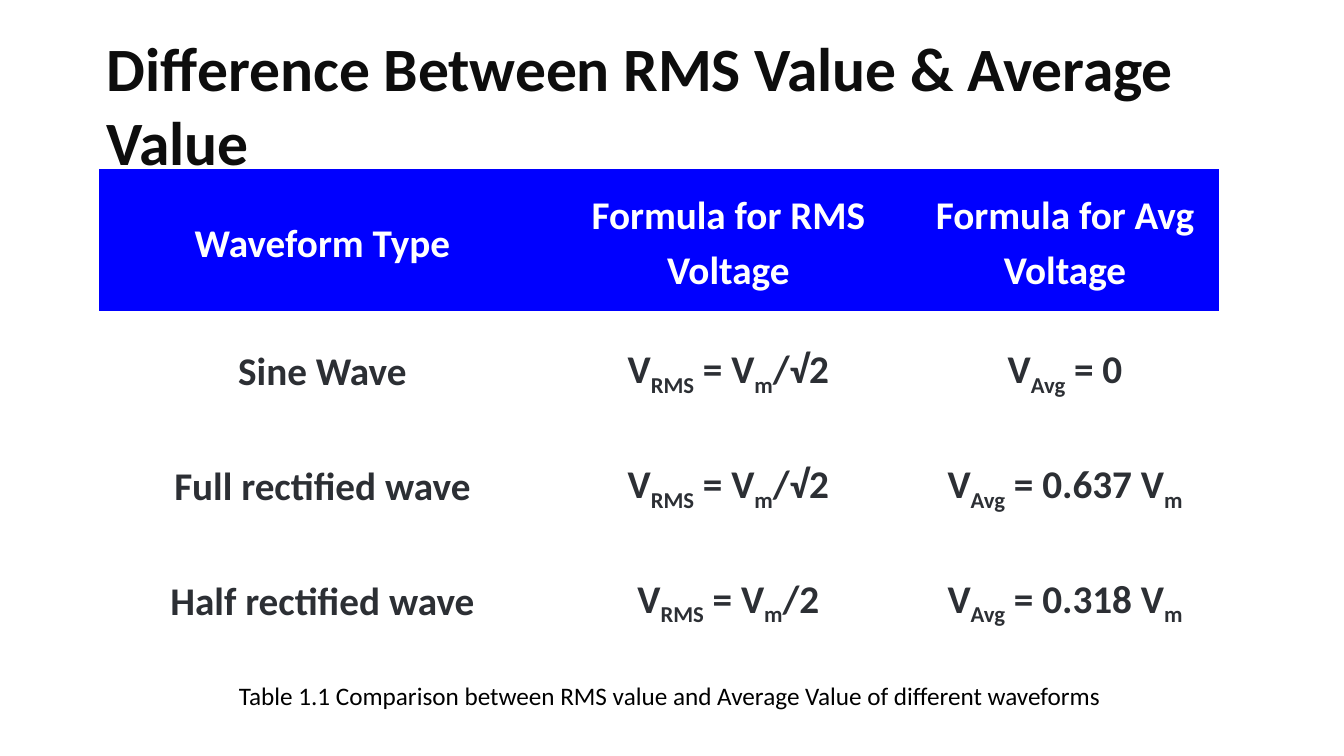
import pptx
import pptx.dml.color
import pptx.enum.text
import pptx.oxml.ns
import pptx.util

Pt = pptx.util.Pt
PP_ALIGN = pptx.enum.text.PP_ALIGN
MSO_ANCHOR = pptx.enum.text.MSO_ANCHOR
MSO_AUTO_SIZE = pptx.enum.text.MSO_AUTO_SIZE
NO_GRID_STYLE = "{2D5ABB26-0587-4C30-8999-92F81FD0307C}"


def rgb(value):
    return pptx.dml.color.RGBColor.from_string(value)


class WaveformSlide:
    """Builds the waveform comparison slide in one consistent style."""

    font = "Calibri"
    title_color = "0D0D0D"
    header_fill = "0000FF"
    header_color = "FFFFFF"
    body_fill = "FFFFFF"
    body_color = "2C2F34"
    caption_color = "000000"

    def __init__(self, prs):
        self.slide = prs.slides.add_slide(prs.slide_layouts[5])

    def format_run(self, r, size, color, bold=False):
        r.font.name = self.font
        r.font.size = Pt(size)
        r.font.bold = bold
        r.font.color.rgb = rgb(color)

    def title(self, text, left, top, width, height):
        sp = self.slide.shapes.title
        sp.left, sp.top, sp.width, sp.height = Pt(left), Pt(top), Pt(width), Pt(height)
        tf = sp.text_frame
        tf.text = text
        tf.word_wrap = True
        tf.auto_size = MSO_AUTO_SIZE.SHAPE_TO_FIT_TEXT
        tf.vertical_anchor = MSO_ANCHOR.TOP
        tf.margin_right = Pt(36)
        p = tf.paragraphs[0]
        p.alignment = PP_ALIGN.LEFT
        p.line_spacing = 1.0
        r = p.runs[0]
        self.format_run(r, 44, self.title_color, True)
        r.font._element.set("spc", "-10")

    def cell(self, cell, text, fill, color):
        cell.fill.solid()
        cell.fill.fore_color.rgb = rgb(fill)
        cell.vertical_anchor = MSO_ANCHOR.MIDDLE
        cell.margin_left = cell.margin_right = Pt(5)
        cell.margin_top = cell.margin_bottom = Pt(5)
        p = cell.text_frame.paragraphs[0]
        p.alignment = PP_ALIGN.CENTER
        p.line_spacing = 1.15
        for i, part in enumerate(text.split("_")):
            if part:
                r = p.add_run()
                r.text = part
                self.format_run(r, 28, color, True)
                if i % 2:
                    r.font._element.set("baseline", "-25000")

    def table(self, rows, left, top, widths, heights):
        frame = self.slide.shapes.add_table(
            len(rows), len(widths), Pt(left), Pt(top), Pt(sum(widths)), Pt(sum(heights)))
        table = frame.table
        table.first_row = table.horz_banding = False
        table._tbl.tblPr.find(pptx.oxml.ns.qn("a:tableStyleId")).text = NO_GRID_STYLE
        for column, width in zip(table.columns, widths):
            column.width = Pt(width)
        for i, (row, height) in enumerate(zip(rows, heights)):
            table.rows[i].height = Pt(height)
            fill = self.body_fill if i else self.header_fill
            color = self.body_color if i else self.header_color
            for j, text in enumerate(row):
                self.cell(table.cell(i, j), text, fill, color)

    def caption(self, text, left, top, width, height):
        sp = self.slide.shapes.add_textbox(Pt(left), Pt(top), Pt(width), Pt(height))
        tf = sp.text_frame
        tf.text = text
        tf.word_wrap = False
        tf.auto_size = MSO_AUTO_SIZE.SHAPE_TO_FIT_TEXT
        self.format_run(tf.paragraphs[0].runs[0], 18, self.caption_color)


def main():
    prs = pptx.Presentation()
    prs.slide_width, prs.slide_height = Pt(960), Pt(540)
    s = WaveformSlide(prs)
    s.title("Difference Between RMS Value & Average Value", 69, 17.5, 891, 60.5)
    s.table(
        [
            ("Waveform Type", "Formula for RMS Voltage", "Formula for Avg Voltage"),
            ("Sine Wave", "V_RMS_ = V_m_/√2", "V_Avg_ = 0"),
            ("Full rectified wave", "V_RMS_ = V_m_/√2", "V_Avg_ = 0.637 V_m_"),
            ("Half rectified wave", "V_RMS_ = V_m_/2", "V_Avg_ = 0.318 V_m_"),
        ],
        71, 120.5, [318.5, 261.5, 219.5], [102] + [82] * 3)
    s.caption("Table 1.1 Comparison between RMS value and Average Value of different waveforms",
              163.5, 482.5, 642, 29)
    prs.save("out.pptx")


if __name__ == "__main__":
    main()
